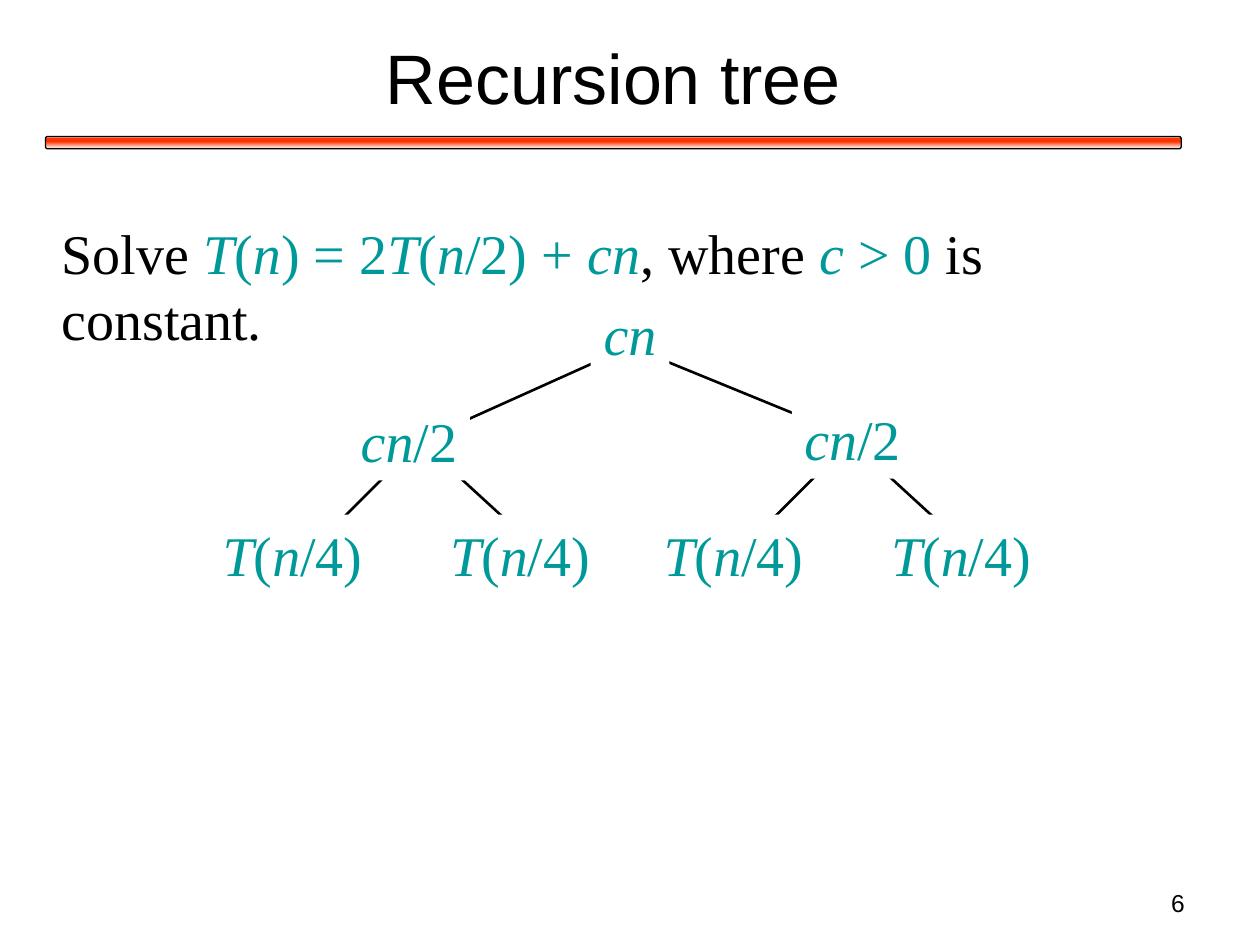
from copy import deepcopy
from itertools import groupby

from lxml.etree import SubElement
from pptx import Presentation
from pptx.dml.color import RGBColor
from pptx.enum.shapes import MSO_CONNECTOR as Link, MSO_SHAPE as Form
from pptx.enum.text import MSO_ANCHOR as Anchor, PP_ALIGN as Align
from pptx.oxml.ns import qn
from pptx.util import Pt


def rgb(code):
    return RGBColor.from_string(code)


def math(text):
    """Split a formula into teal runs, with its letters in italics."""
    return [("".join(part), Deck.teal, slant)
            for slant, part in groupby(text, str.isalpha)]


def plain(text):
    return [(text, Deck.ink, False)]


class Deck:
    ink, teal, white, red = "000000", "009999", "FFFFFF", "FF3300"
    sans, serif = "Arial", "Times New Roman"

    def __init__(self):
        self.prs = Presentation()
        self.prs.slide_width, self.prs.slide_height = Pt(720), Pt(540)
        self.slide = self.prs.slides.add_slide(self.prs.slide_layouts[6])

    def fill_text(self, shape, runs, font, size, align, wrap, lead=None):
        """Write the runs; lead is an exact line height in points."""
        frame = shape.text_frame
        frame.word_wrap = wrap
        para = frame.paragraphs[0]
        para.alignment = align
        if lead:
            para.line_spacing = Pt(lead)
        for text, color, slant in runs:
            run = para.add_run()
            run.text = text
            run.font.name, run.font.size = font, Pt(size)
            run.font.italic = slant
            run.font.color.rgb = rgb(color)

    def text(self, box, runs, font, size, align=Align.LEFT,
             anchor=Anchor.TOP, lead=None):
        shape = self.slide.shapes.add_textbox(*map(Pt, box))
        shape.text_frame.vertical_anchor = anchor
        self.fill_text(shape, runs, font, size, align, True, lead)

    def node(self, left, top, width, label):
        shape = self.slide.shapes.add_shape(
            Form.RECTANGLE, Pt(left), Pt(top), Pt(width), Pt(45.5))
        shape.shadow.inherit = False
        shape.fill.solid()
        shape.fill.fore_color.rgb = rgb(self.white)
        shape.line.fill.background()
        shape.text_frame.vertical_anchor = Anchor.TOP
        self.fill_text(shape, math(label), self.serif, 32,
                       Align.CENTER, False, 38)

    def edge(self, start, end):
        line = self.slide.shapes.add_connector(
            Link.STRAIGHT, *map(Pt, start + end))
        line.line.color.rgb = rgb(self.ink)
        line.line.width = Pt(1.5)
        SubElement(line._element.spPr, qn("a:effectLst"))

    def bar(self, box, stops):
        shape = self.slide.shapes.add_shape(
            Form.ROUNDED_RECTANGLE, *map(Pt, box))
        shape.shadow.inherit = False
        shape.line.color.rgb = rgb(self.ink)
        shape.line.width = Pt(0.75)
        shape.fill.gradient()
        shape.fill.gradient_angle = 270
        group = shape._element.spPr.find(".//" + qn("a:gsLst"))
        while len(group) < len(stops):
            group.append(deepcopy(group[0]))
        for stop, (place, color) in zip(shape.fill.gradient_stops, stops):
            stop.position = place
            stop.color.rgb = rgb(color)


def main():
    deck = Deck()
    deck.bar((26, 78, 649, 7), [(0, deck.white), (0.16, deck.red),
                                (0.42, deck.red), (1, deck.white)])
    deck.text((26.5, 8, 648, 71), plain("Recursion tree"), deck.sans, 40,
              Align.CENTER, Anchor.MIDDLE)
    task = (plain("Solve ") + math("T(n) = 2T(n/2) + cn") + plain(", where ")
            + math("c > 0") + plain(" is constant."))
    deck.text((28, 121.5, 655, 84), task, deck.serif, 32, lead=38)

    root, left, right = (360, 198), (240, 252), (486, 252)
    deck.edge(root, left)
    deck.edge(root, (492, 252))
    for start, ends in ((left, (174, 312)), (right, (420, 558))):
        for x in ends:
            deck.edge(start, (x, 318))

    deck.node(337.5, 168, 45, "cn")
    deck.node(199, 229, 69.5, "cn/2")
    deck.node(452.5, 228, 69.5, "cn/2")
    for pair in (120, 372):
        for x in (pair, pair + 130):
            deck.node(x, 294, 94.5, "T(n/4)")

    deck.text((516, 504, 168, 25), plain("6"), deck.sans, 14, Align.RIGHT)
    deck.prs.save("out.pptx")


if __name__ == "__main__":
    main()
